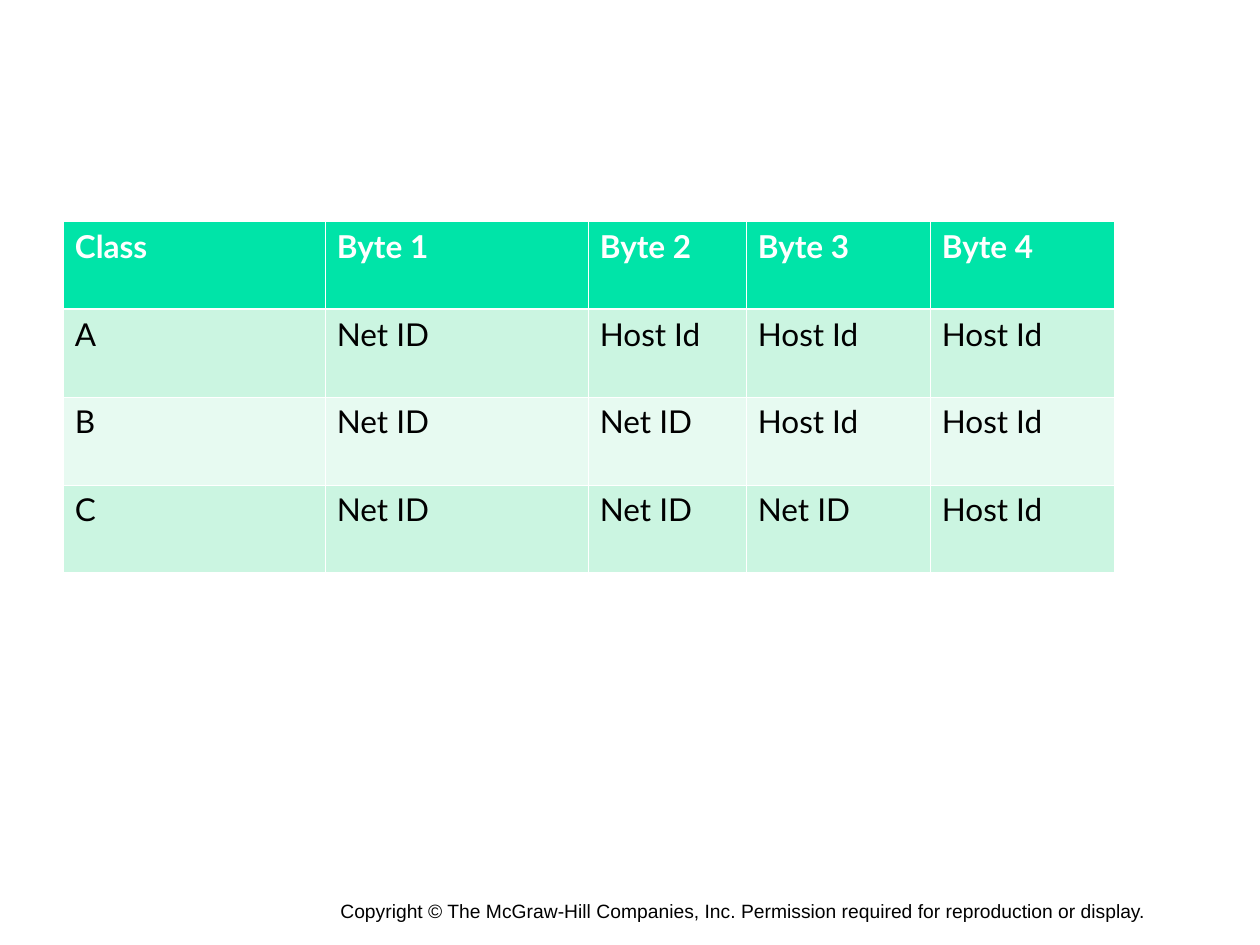
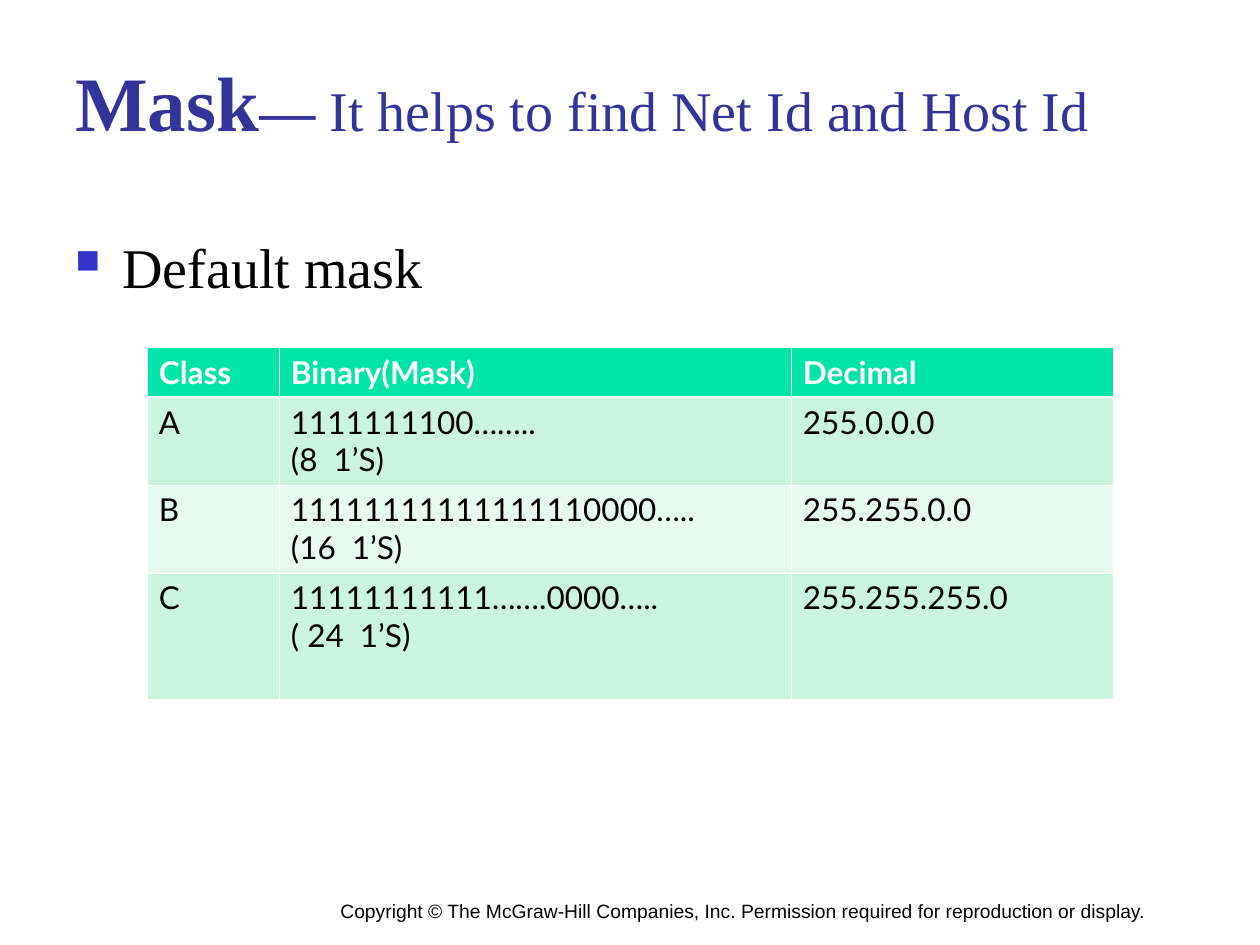
"""Build two slides on IP address classes and their default masks."""
from dataclasses import dataclass

from lxml import etree
from pptx import Presentation
from pptx.dml.color import RGBColor
from pptx.enum.text import MSO_ANCHOR
from pptx.oxml.ns import qn
from pptx.util import Pt

TOP = MSO_ANCHOR.TOP
PX_PER_INCH = 126
EMU_PER_INCH = 914400
BLANK_LAYOUT = 6


@dataclass(frozen=True)
class Theme:
    white: str = "FFFFFF"
    black: str = "000000"
    title: str = "333399"
    bullet: str = "3333CC"
    header: str = "00E4A8"
    bands: tuple = ("CBF5E1", "E7FAF1")
    serif: str = "Times New Roman"
    sans: str = "Arial"
    table_font: str = "Lato"
    title_size: int = 44
    body_size: int = 32
    table_size: int = 18
    footer_size: int = 11
    thin: float = 0.45
    thick: float = 1.47


T = Theme()
FOOTER = ("Copyright © The McGraw-Hill Companies, Inc. "
          "Permission required for reproduction or display.")


def px(n):
    return round(n * EMU_PER_INCH / PX_PER_INCH)


def add_run(p, text, size, font, color, bold=False):
    r = p.add_run()
    r.text = text
    r.font.size = Pt(size)
    r.font.name = font
    r.font.bold = bold
    r.font.color.rgb = RGBColor.from_string(color)


def add_text_box(slide, x, y, w, h, wrap=True, top_inset=6):
    tf = slide.shapes.add_textbox(px(x), px(y), px(w), px(h)).text_frame
    tf.word_wrap = wrap
    tf.vertical_anchor = TOP
    tf.margin_top = px(top_inset)
    return tf.paragraphs[0]


def add_slide(prs):
    slide = prs.slides.add_slide(prs.slide_layouts[BLANK_LAYOUT])
    p = add_text_box(slide, 328, 893, 833, 59, wrap=False)
    add_run(p, FOOTER, T.footer_size, T.sans, T.black)
    return slide


def add_title(slide, lead, dash, rest):
    p = add_text_box(slide, 63, 38, 1134, 158, top_inset=16)
    add_run(p, lead, T.title_size, T.serif, T.title, bold=True)
    add_run(p, dash, T.body_size, T.serif, T.title, bold=True)
    add_run(p, rest, T.body_size, T.serif, T.title)


def add_bullet(slide, text):
    p = add_text_box(slide, 63, 220, 1134, 624, top_inset=12)
    pPr = p._p.get_or_add_pPr()
    pPr.set("marL", str(px(47)))
    pPr.set("indent", str(-px(47)))
    color = etree.SubElement(pPr, qn("a:buClr"))
    etree.SubElement(color, qn("a:srgbClr"), val=T.bullet)
    etree.SubElement(pPr, qn("a:buSzPct"), val="60000")
    etree.SubElement(pPr, qn("a:buChar"), char="■")
    add_run(p, text, T.body_size, T.serif, T.black)


def set_borders(cell, top, bottom):
    tcPr = cell._tc.get_or_add_tcPr()
    for side, width in (("L", T.thin), ("R", T.thin), ("T", top), ("B", bottom)):
        ln = etree.SubElement(tcPr, qn(f"a:ln{side}"), w=str(Pt(width)))
        fill = etree.SubElement(ln, qn("a:solidFill"))
        etree.SubElement(fill, qn("a:srgbClr"), val=T.white)


def fill_cell(cell, text, row):
    is_header = row == 0
    set_borders(cell, T.thick if row == 1 else T.thin,
                T.thick if is_header else T.thin)
    cell.fill.solid()
    band = T.header if is_header else T.bands[(row - 1) % 2]
    cell.fill.fore_color.rgb = RGBColor.from_string(band)
    cell.vertical_anchor = TOP
    cell.margin_left = cell.margin_right = px(12)
    cell.margin_top = cell.margin_bottom = px(6)
    tf = cell.text_frame
    for i, line in enumerate(text.split("\n")):
        p = tf.add_paragraph() if i else tf.paragraphs[0]
        add_run(p, line, T.table_size, T.table_font,
                T.white if is_header else T.black, bold=is_header)


def add_grid(slide, x, y, widths, heights, rows):
    frame = slide.shapes.add_table(len(heights), len(widths), px(x), px(y),
                                   px(sum(widths)), px(sum(heights)))
    table = frame.table
    table.horz_banding = False
    table.first_row = False
    for column, width in zip(table.columns, widths):
        column.width = px(width)
    for i, (height, texts) in enumerate(zip(heights, rows)):
        table.rows[i].height = px(height)
        for j, text in enumerate(texts):
            fill_cell(table.cell(i, j), text, i)


def build_class_slide(prs):
    rows = [["Class"] + [f"Byte {n}" for n in range(1, 5)]]
    for net_bytes, name in enumerate("ABC", 1):
        rows.append([name] + ["Net ID"] * net_bytes
                    + ["Host Id"] * (4 - net_bytes))
    add_grid(add_slide(prs), 63, 221, [262, 263, 158, 184, 184], [88] * 4, rows)


def build_mask_slide(prs):
    slide = add_slide(prs)
    add_title(slide, "Mask", "— ", "It helps to find Net Id and Host Id")
    add_bullet(slide, "Default mask")
    rows = [
        ["Class", "Binary(Mask)", "Decimal"],
        ["A", "1111111100……..\n(8  1’S)", "255.0.0.0"],
        ["B", "11111111111111110000…..\n(16  1’S)", "255.255.0.0"],
        ["C", "11111111111…….0000…..\n( 24  1’S)", "255.255.255.0"],
    ]
    add_grid(slide, 147, 347, [132, 512, 322], [50, 88, 88, 126], rows)


def main():
    prs = Presentation()
    prs.slide_width = px(1260)
    prs.slide_height = px(945)
    build_class_slide(prs)
    build_mask_slide(prs)
    prs.save("out.pptx")


if __name__ == "__main__":
    main()
